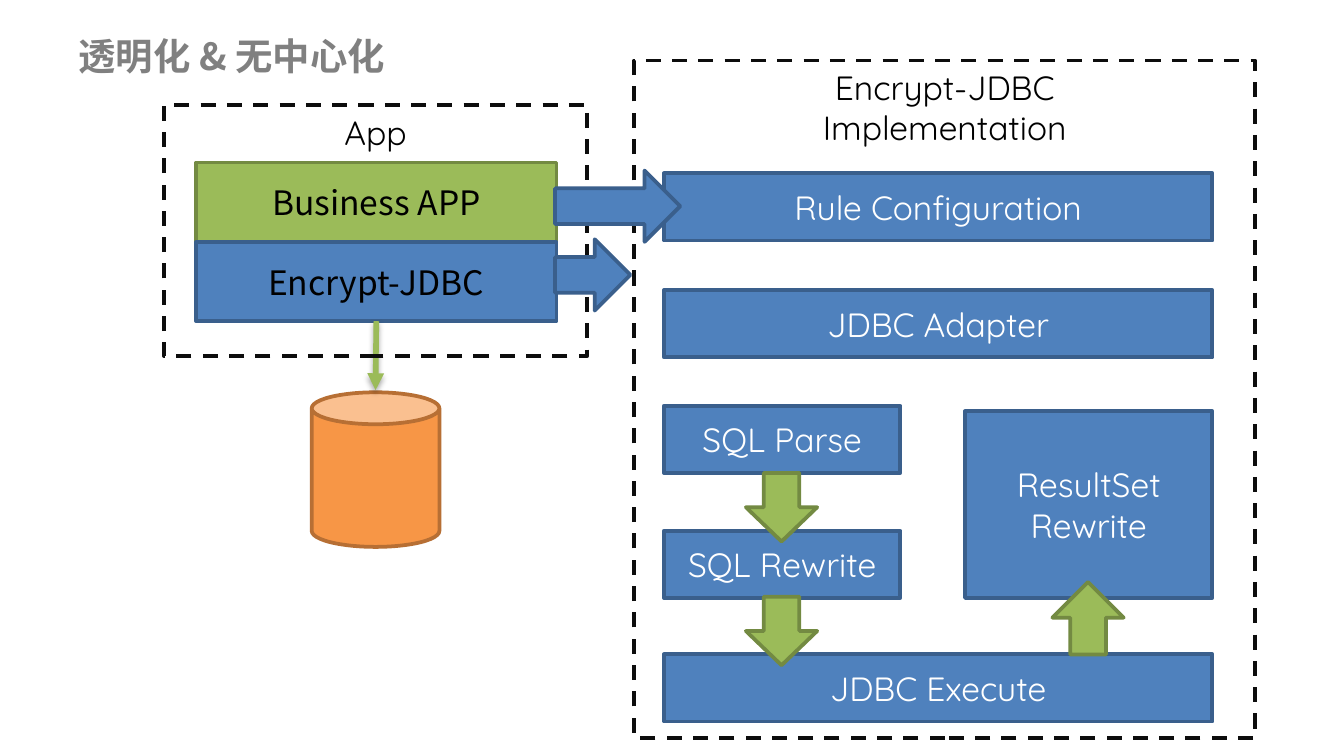
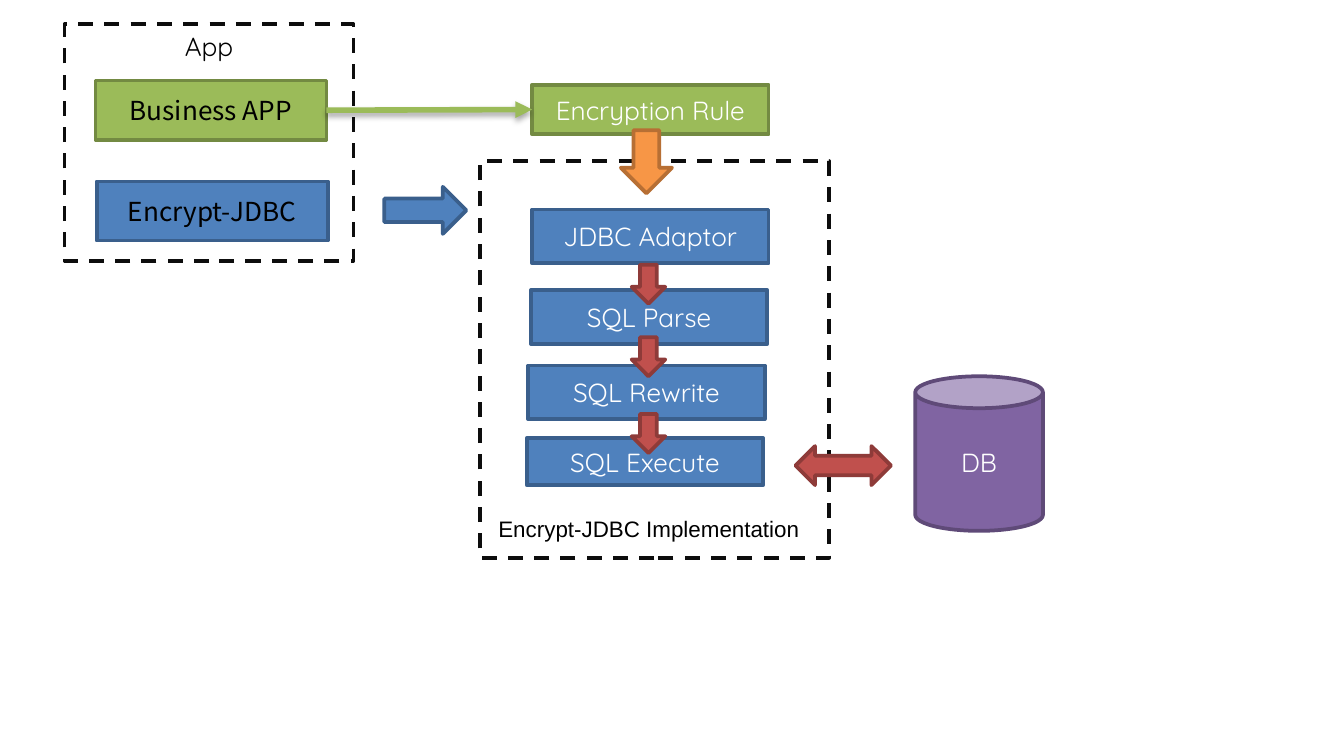
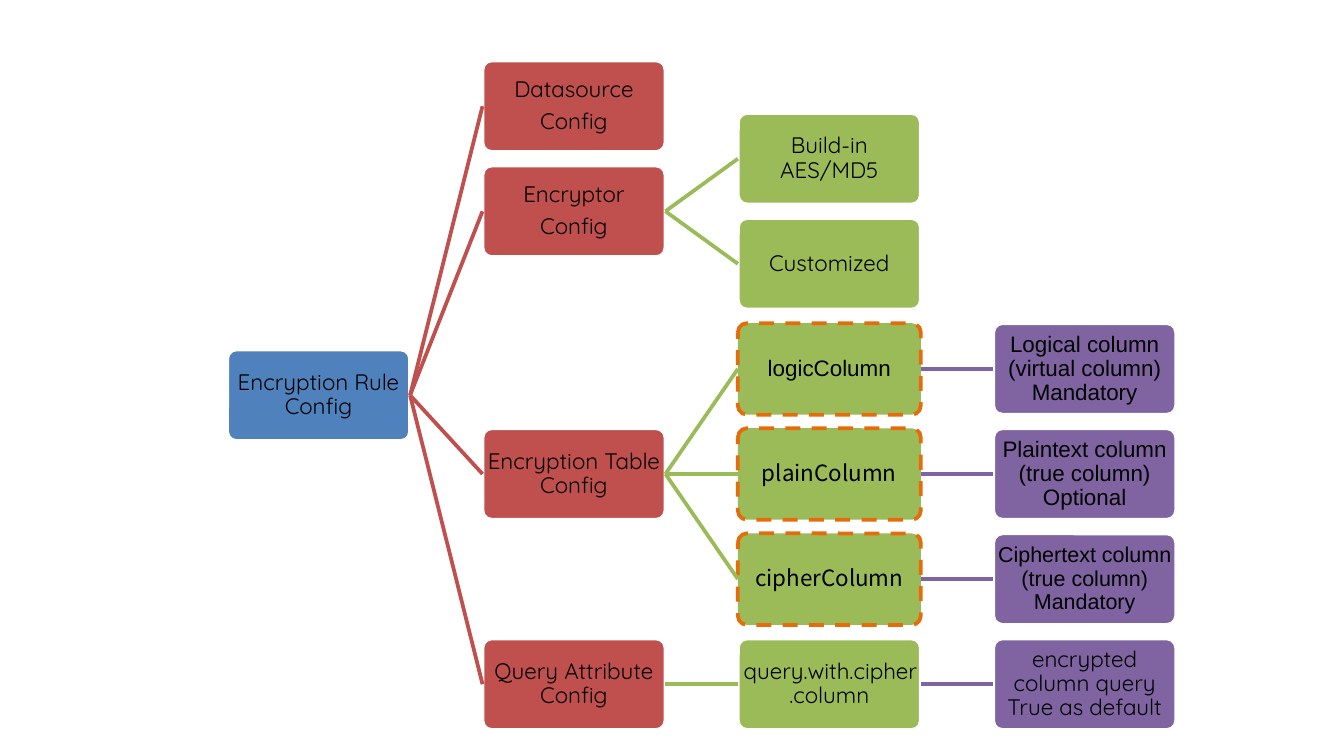
"""Build three slides on transparent JDBC encryption."""
from dataclasses import dataclass

from lxml.etree import SubElement
from pptx import Presentation
from pptx.dml.color import RGBColor
from pptx.enum.dml import MSO_LINE
from pptx.enum.shapes import MSO_CONNECTOR, MSO_SHAPE
from pptx.enum.text import MSO_ANCHOR, PP_ALIGN
from pptx.oxml.ns import qn
from pptx.util import Pt

QUICKSAND, NOTO, ARIAL = "Quicksand", "Noto Sans CJK SC", "Arial"
BLACK, WHITE, GREY, FRAME_LINE, DASH_ORANGE = "000000", "FFFFFF", "808080", "0D0D0D", "E46C0A"
BLUE, GREEN, RED = ("4F81BD", "3A5F8C"), ("9BBB59", "738A42"), ("C0504D", "8E3B39")
ORANGE, PURPLE = ("F79646", "B76F34"), ("8064A2", "5F4A78")
LINE_WIDTH = 2

NODE_WIDTH, NODE_HEIGHT = 98, 49
TREE_LEFT, TREE_TOP = 121.7, 32.4
COLUMN_STEP, ROW_STEP = 136.8, 56.3
LEVEL_COLOURS = [BLUE, RED, GREEN, PURPLE]


@dataclass
class Node:
    """A box of the configuration tree; only a leaf needs its own row."""
    label: str
    leaf_row: float = 0
    children: tuple = ()
    font: str = QUICKSAND
    size: float = 12
    dashed: bool = False

    def row(self):
        """Return the leaf row, or the middle of the first and last child."""
        if not self.children:
            return self.leaf_row
        return (self.children[0].row() + self.children[-1].row()) / 2


def colour(hex_text):
    """Turn a hex string into a colour."""
    return RGBColor.from_string(hex_text)


def apply_format(target, values):
    """Set every attribute named in values."""
    for name, value in values.items():
        setattr(target, name, value)


def write_text(box, text, size, font=QUICKSAND, ink=WHITE, bold=False, frame_format=None, para_format=None):
    """Write one paragraph per line of text in one style."""
    frame = box.text_frame
    apply_format(frame, {"word_wrap": True, **(frame_format or {})})
    for index, line in enumerate(text.split("\n")):
        para = frame.add_paragraph() if index else frame.paragraphs[0]
        apply_format(para, para_format or {})
        span = para.add_run()
        span.text = line
        apply_format(span.font, {"name": font, "size": Pt(size), "bold": bold})
        span.font.color.rgb = colour(ink)
        SubElement(span.font._element, qn("a:ea"), typeface=font)


def add_figure(page, kind, place, fill, outline, dashed=False):
    """Add a preset shape at (left, top, width, height)."""
    box = page.shapes.add_shape(kind, *map(Pt, place))
    box.shadow.inherit = False
    if fill:
        box.fill.solid()
        box.fill.fore_color.rgb = colour(fill)
    else:
        box.fill.background()
    box.line.color.rgb = colour(outline)
    box.line.width = Pt(LINE_WIDTH)
    if dashed:
        box.line.dash_style = MSO_LINE.DASH
    return box


def add_block(page, place, text, colours, size, font=QUICKSAND, ink=WHITE, kind=MSO_SHAPE.RECTANGLE):
    """Add a filled shape with centred text."""
    box = add_figure(page, kind, place, *colours)
    write_text(box, text, size, font, ink,
               frame_format={"vertical_anchor": MSO_ANCHOR.MIDDLE},
               para_format={"alignment": PP_ALIGN.CENTER})
    return box


def add_frame(page, place, text="", size=18):
    """Add a dashed frame with an optional heading."""
    box = add_figure(page, MSO_SHAPE.RECTANGLE, place, None, FRAME_LINE, dashed=True)
    if text:
        write_text(box, text, size, ink=BLACK,
                   frame_format={"vertical_anchor": MSO_ANCHOR.TOP},
                   para_format={"alignment": PP_ALIGN.CENTER})


def add_label(page, place, text, size, font, ink, bold=False, frame_format=None):
    """Add a plain text box."""
    box = page.shapes.add_textbox(*map(Pt, place))
    write_text(box, text, size, font, ink, bold, frame_format)


def add_link(page, ends, line_colour, width=LINE_WIDTH):
    """Add a straight connector without a shadow and return it with its effects."""
    link = page.shapes.add_connector(MSO_CONNECTOR.STRAIGHT, *map(Pt, ends))
    link.line.color.rgb = colour(line_colour)
    link.line.width = Pt(width)
    effects = SubElement(link._element.spPr, qn("a:effectLst"))
    return link, effects


def add_flow_arrow(page, ends):
    """Add a green arrow with a soft shadow."""
    link, effects = add_link(page, ends, GREEN[0], 3)
    SubElement(link.line._get_or_add_ln(), qn("a:tailEnd"), type="triangle")
    shadow = SubElement(effects, qn("a:outerShdw"), blurRad=str(Pt(3.1)), dist=str(Pt(1.8)),
                        dir="5400000", rotWithShape="0")
    tint = SubElement(shadow, qn("a:srgbClr"), val=BLACK)
    SubElement(tint, qn("a:alpha"), val="35000")
    return link


def add_node(page, node, level=0):
    """Add a tree node, then its children with their links."""
    fill = LEVEL_COLOURS[level][0]
    place = (TREE_LEFT + level * COLUMN_STEP, TREE_TOP + node.row() * ROW_STEP, NODE_WIDTH, NODE_HEIGHT)
    box = add_figure(page, MSO_SHAPE.ROUNDED_RECTANGLE, place, fill,
                     DASH_ORANGE if node.dashed else WHITE, node.dashed)
    box.adjustments[0] = 0.1
    margins = {f"margin_{side}": Pt(0.72) for side in ("left", "top", "right", "bottom")}
    write_text(box, node.label, node.size, node.font, BLACK,
               frame_format={"vertical_anchor": MSO_ANCHOR.MIDDLE, **margins},
               para_format={"alignment": PP_ALIGN.CENTER, "line_spacing": 0.9, "space_after": Pt(4.2)})
    for child in node.children:
        child_box = add_node(page, child, level + 1)
        link, _ = add_link(page, (0, 0, 0, 0), LEVEL_COLOURS[level + 1][0])
        link.begin_connect(box, 3)
        link.end_connect(child_box, 1)
    return box


def build_architecture(page):
    """Show the app and the layers of the implementation."""
    add_label(page, (36.7, 14.4, 181, 29.5), "透明化 & 无中心化", 20, NOTO, GREY, bold=True,
              frame_format={"margin_left": Pt(5.3), "margin_right": Pt(5.3)})
    add_figure(page, MSO_SHAPE.CAN, (167, 210.2, 68.4, 82.8), *ORANGE)
    add_block(page, (105.1, 87.1, 193, 42.5), "Business APP", GREEN, 18, NOTO, BLACK)
    driver = add_block(page, (105.1, 129.6, 193, 42.5), "Encrypt-JDBC", BLUE, 18, NOTO, BLACK)
    add_flow_arrow(page, (201.6, 172.1, 201.2, 209)).begin_connect(driver, 2)
    add_frame(page, (87.8, 56.2, 226.8, 134.6), "App")
    add_frame(page, (339.8, 32.4, 332.6, 362.9), "Encrypt-JDBC\nImplementation")

    left, wide, narrow = 355.7, 293.8, 126.7
    for text, top, width in [("Rule Configuration", 92.9, wide), ("JDBC Adapter", 155.5, wide),
                             ("SQL Parse", 217.4, narrow), ("SQL Rewrite", 284.4, narrow),
                             ("JDBC Execute", 350.6, wide)]:
        add_block(page, (left, top, width, 36), text, BLUE, 18)
    add_block(page, (517, 220.3, 132.5, 100.1), "ResultSet\nRewrite", BLUE, 18)

    for kind, place, colours in [
            (MSO_SHAPE.DOWN_ARROW, (399.6, 253.4, 38.2, 36.7), GREEN),
            (MSO_SHAPE.DOWN_ARROW, (399.6, 319.7, 38.2, 36.7), GREEN),
            (MSO_SHAPE.UP_ARROW, (563.8, 311.8, 38.2, 38.9), GREEN),
            (MSO_SHAPE.RIGHT_ARROW, (297.4, 91.4, 67, 38.2), BLUE),
            (MSO_SHAPE.RIGHT_ARROW, (297.4, 128.2, 40.3, 38.2), BLUE)]:
        add_figure(page, kind, place, *colours)


def build_process(page):
    """Show how a statement passes through the implementation to the database."""
    add_block(page, (490.3, 201.6, 68.4, 82.8), "DB", PURPLE, 14, kind=MSO_SHAPE.CAN)
    business = add_block(page, (51.1, 43.2, 123.8, 31.7), "Business APP", GREEN, 14, NOTO, BLACK)
    add_block(page, (51.8, 97.2, 123.8, 31.7), "Encrypt-JDBC", BLUE, 14, NOTO, BLACK)
    add_frame(page, (34.6, 13, 154.8, 126.7), "App", 14)
    add_frame(page, (257, 86.4, 187.2, 212.4))

    rule = add_block(page, (285.1, 45.4, 126.7, 26.6), "Encryption Rule", GREEN, 14)
    for text, left, top, height in [("JDBC Adaptor", 285.1, 112.3, 28.8), ("SQL Parse", 284.4, 155.5, 28.8),
                                    ("SQL Rewrite", 283, 195.8, 28.8), ("SQL Execute", 282.2, 234.7, 25.2)]:
        add_block(page, (left, top, 126.7, height), text, BLUE, 14)

    add_figure(page, MSO_SHAPE.DOWN_ARROW, (332.6, 69.8, 27.4, 33.8), *ORANGE)
    add_figure(page, MSO_SHAPE.RIGHT_ARROW, (205.9, 100.1, 43.9, 25.2), *BLUE)
    for top in (141.8, 180.7, 221.8):
        add_figure(page, MSO_SHAPE.DOWN_ARROW, (338.4, top, 18, 20.9), *RED)
    add_figure(page, MSO_SHAPE.LEFT_RIGHT_ARROW, (426.2, 239, 51.1, 20.9), *RED)
    add_label(page, (259.9, 272.2, 191.5, 21.6), "Encrypt-JDBC Implementation", 12, ARIAL, BLACK)

    arrow = add_flow_arrow(page, (0, 0, 0, 0))
    arrow.begin_connect(business, 3)
    arrow.end_connect(rule, 1)


def build_rule_tree(page):
    """Show the parts of the encryption rule configuration."""
    logic = Node("Logical column (virtual column) Mandatory", 2.5, font=ARIAL)
    plain = Node("Plaintext column (true column) Optional", 3.5, font=ARIAL)
    cipher = Node("Ciphertext column (true column) Mandatory", 4.5, font=ARIAL, size=11.5)
    query = Node("encrypted column query True as default", 5.5)
    add_node(page, Node("Encryption Rule Config", children=(
        Node("Datasource\nConfig", 0),
        Node("Encryptor\nConfig", children=(Node("Build-in AES/MD5", 0.5), Node("Customized", 1.5))),
        Node("Encryption Table Config", children=(
            Node("logicColumn", children=(logic,), font=ARIAL, dashed=True),
            Node("plainColumn", children=(plain,), font=NOTO, dashed=True),
            Node("cipherColumn", children=(cipher,), font=NOTO, dashed=True))),
        Node("Query Attribute Config", children=(
            Node("query.with.cipher.column", children=(query,)),)))))


def main():
    """Build and save the deck."""
    deck = Presentation()
    apply_format(deck, {"slide_width": Pt(720), "slide_height": Pt(405)})
    for build in (build_architecture, build_process, build_rule_tree):
        build(deck.slides.add_slide(deck.slide_layouts[6]))
    deck.save("out.pptx")


if __name__ == "__main__":
    main()
